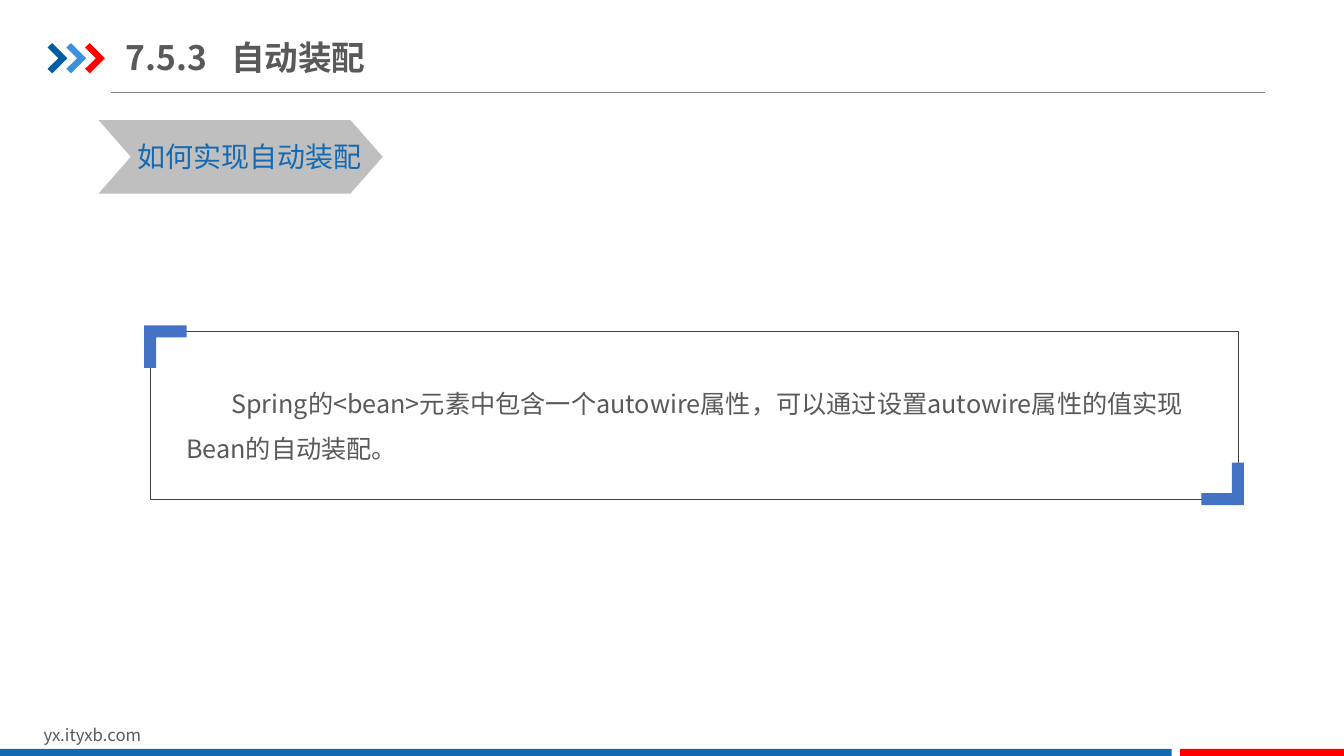
from lxml import etree
from pptx import Presentation
from pptx import oxml
from pptx.dml.color import RGBColor
from pptx.enum import shapes, text
from pptx.oxml.ns import qn
from pptx.util import Pt

FONT = "Noto Sans CJK SC"
COLORS = {
    "navy": "005DA2", "sky": "3992DB", "red": "FF0000", "blue": "1369B2",
    "bracket": "4472C4", "silver": "BFBFBF", "rule": "808080",
    "frame": "404040", "ink": "595959",
}


def rgb(name):
    return RGBColor.from_string(COLORS[name])


def paint(shape, fill=None, line=None, weight=0.25):
    shape.shadow.inherit = False
    if fill:
        shape.fill.solid()
        shape.fill.fore_color.rgb = rgb(fill)
    else:
        shape.fill.background()
    if line:
        shape.line.color.rgb = rgb(line)
        shape.line.width = Pt(weight)
    else:
        shape.line.fill.background()


def add_preset(slide, kind, box, **style):
    shape = slide.shapes.add_shape(kind, *map(Pt, box))
    paint(shape, **style)
    return shape


def add_outline(slide, points, fill):
    start, *rest = [(Pt(x), Pt(y)) for x, y in points]
    builder = slide.shapes.build_freeform(*start, scale=1.0)
    builder.add_line_segments(rest, close=True)
    paint(builder.convert_to_shape(), fill=fill)


def add_rule(slide, x1, x2, y):
    rule = slide.shapes.add_connector(
        shapes.MSO_CONNECTOR.STRAIGHT, Pt(x1), Pt(y), Pt(x2), Pt(y))
    rule.line.color.rgb = rgb("rule")
    rule.line.width = Pt(0.5)
    etree.SubElement(rule._element.spPr, qn("a:effectLst"))


def add_text(slide, box, words, size, color="ink", bold=False, wrap=True,
             inset=7.2, middle=False, spacing=None, indent=0, tab=None):
    frame = slide.shapes.add_textbox(*map(Pt, box)).text_frame
    frame.word_wrap = wrap
    frame.margin_left = frame.margin_right = Pt(inset)
    if middle:
        frame.vertical_anchor = text.MSO_ANCHOR.MIDDLE
    paragraph = frame.paragraphs[0]
    paragraph.text = words
    if spacing:
        paragraph.line_spacing = spacing
    properties = paragraph._p.get_or_add_pPr()
    if indent:
        properties.set("indent", str(Pt(indent)))
    if tab:
        stops = etree.SubElement(properties, qn("a:tabLst"))
        etree.SubElement(stops, qn("a:tab"), pos=str(Pt(tab)), algn="l")
    font = paragraph.font
    font.name, font.size, font.bold = FONT, Pt(size), bold
    font.color.rgb = rgb(color)
    east_asian = oxml.parse_xml(
        '<a:ea xmlns:a="http://schemas.openxmlformats.org/drawingml/2006/main"'
        f' typeface="{FONT}"/>')
    properties.find(qn("a:defRPr")).append(east_asian)


def add_arrow_mark(slide, left, top, fill):
    outline = [(0, 3.2), (3.3, 0), (14.2, 10.8), (3.3, 21.6), (0, 18.4), (7.7, 10.8)]
    add_outline(slide, [(left + x, top + y) for x, y in outline], fill)


def add_bracket(slide, x, y, direction):
    """Corner bracket at (x, y); direction 1 opens down-right, -1 up-left."""
    arm, thick = 30.4, 8.6
    outline = [(0, 0), (arm, 0), (arm, thick), (thick, thick), (thick, arm), (0, arm)]
    add_outline(slide, [(x + direction * dx, y + direction * dy)
                        for dx, dy in outline], "bracket")


def main():
    deck = Presentation()
    deck.slide_width, deck.slide_height = Pt(960), Pt(540)
    slide = deck.slides.add_slide(deck.slide_layouts[6])
    rectangle = shapes.MSO_SHAPE.RECTANGLE

    # Header
    add_rule(slide, 79.2, 903.6, 66)
    for i, fill in enumerate(("navy", "sky", "red")):
        add_arrow_mark(slide, 34 + 13.4 * i, 30.8, fill)
    add_text(slide, (90, 21, 195, 39.6), "7.5.3\t自动装配", 24, bold=True,
             inset=0, middle=True, tab=75)

    # Footer
    add_text(slide, (24, 514, 229, 21.6), "yx.ityxb.com", 12)
    add_preset(slide, rectangle, (0, 535, 837, 5), fill="blue")
    add_preset(slide, rectangle, (843, 535, 117, 5), fill="red")

    # Section label
    banner = add_preset(slide, shapes.MSO_SHAPE.CHEVRON, (70.4, 85.8, 203, 52.4),
                        fill="silver")
    banner.adjustments[0] = 0.44
    add_text(slide, (91.2, 95.8, 182, 31.7), "如何实现自动装配", 20,
             color="blue", wrap=False)

    # Framed explanation
    add_text(slide, (126, 262.8, 742, 72),
             "Spring的<bean>元素中包含一个autowire属性，"
             "可以通过设置autowire属性的值实现Bean的自动装配。",
             18, spacing=1.5, indent=32)
    left, top, width, height = 107.4, 236.8, 776.8, 119.6
    overhang = 4.4
    add_preset(slide, rectangle, (left, top, width, height), line="frame")
    add_bracket(slide, left - overhang, top - overhang, 1)
    add_bracket(slide, left + width + overhang, top + height + overhang, -1)

    deck.save("out.pptx")


if __name__ == "__main__":
    main()
